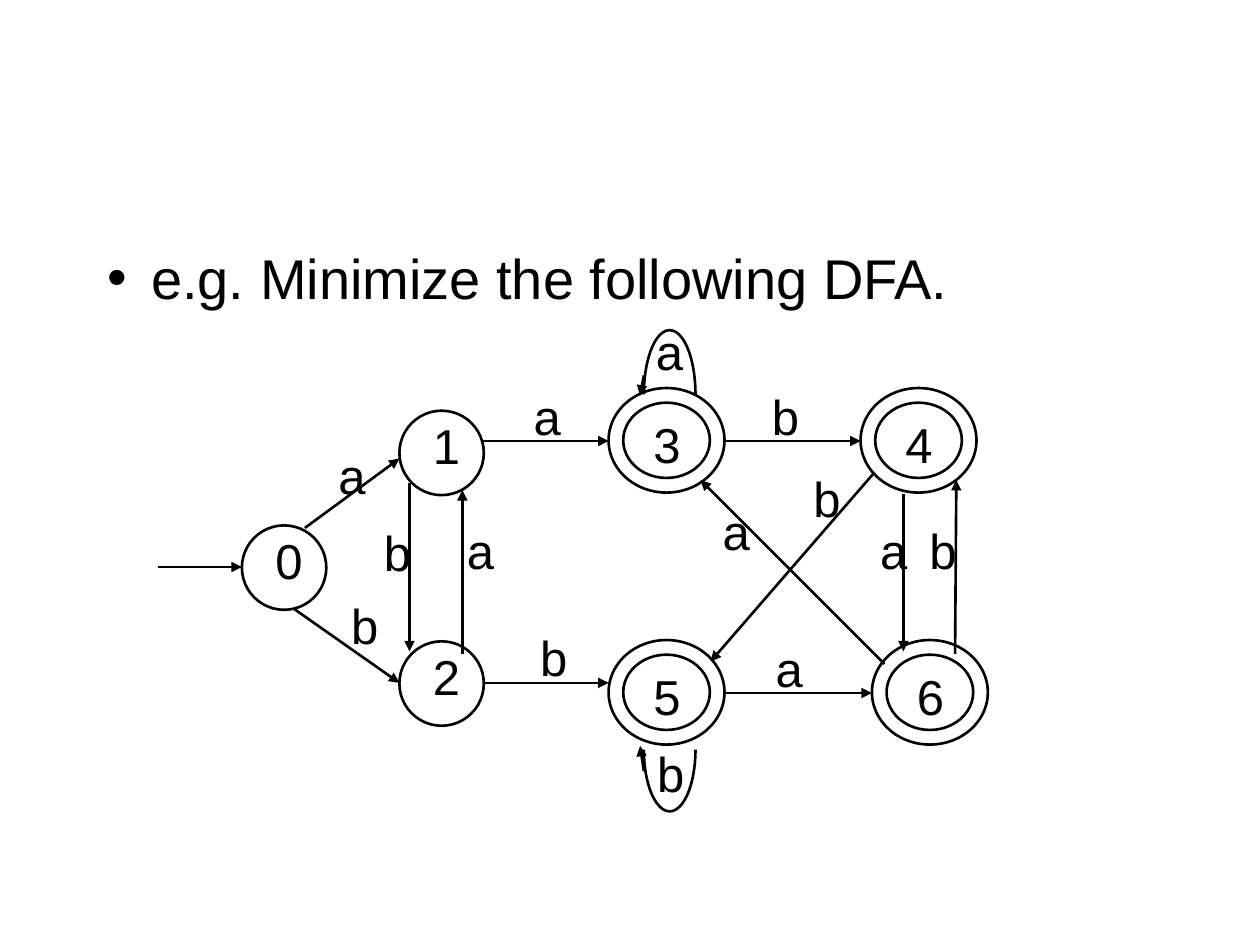
from dataclasses import dataclass

from lxml import etree
from pptx import Presentation
from pptx import util as u
from pptx.dml.color import RGBColor
from pptx.enum import shapes, text
from pptx.oxml.ns import qn


@dataclass
class Theme:
    font: str = "Arial"
    ink: RGBColor = RGBColor(0, 0, 0)
    body: u.Pt = u.Pt(32)
    label: u.Pt = u.Pt(28)
    line: u.Pt = u.Pt(1.5)


theme = Theme()
prs = Presentation()
prs.slide_width, prs.slide_height = u.Inches(10), u.Inches(7.5)
s = prs.slides.add_slide(prs.slide_layouts[1])


def add_outline(kind, x, y, w, h):
    sp = s.shapes.add_shape(kind, *map(u.Inches, (x, y, w, h)))
    sp.shadow.inherit = False
    sp.fill.background()
    sp.line.color.rgb = theme.ink
    sp.line.width = theme.line
    return sp


def add_label(label, x, y):
    tf = s.shapes.add_textbox(*map(u.Inches, (x, y, 0.52, 0.57))).text_frame
    tf.word_wrap = True
    p = tf.paragraphs[0]
    p.text = label
    p.alignment = text.PP_ALIGN.RIGHT
    p.font.name, p.font.size = theme.font, theme.label
    p.font.color.rgb = theme.ink


# Task statement
title = s.shapes.title
title.element.getparent().remove(title.element)
body = s.placeholders[1]
body.left, body.top, body.width, body.height = map(u.Inches, (0.75, 1.88, 8.5, 1.26))
tf = body.text_frame
tf.auto_size = text.MSO_AUTO_SIZE.NONE
p = tf.paragraphs[0]
p.text = "e.g. Minimize the following DFA."
p.space_before = u.Pt(0)
pPr = p._p.get_or_add_pPr()
pPr.set("marL", str(u.Inches(0.35)))
pPr.set("indent", str(-u.Inches(0.35)))
p.font.name, p.font.size = theme.font, theme.body
p.font.color.rgb = theme.ink

# Plain states
for state, x, y in [("0", 1.92, 4.17), ("1", 3.17, 3.26), ("2", 3.17, 5.09)]:
    add_outline(shapes.MSO_SHAPE.OVAL, x, y, 0.67, 0.67)
    add_label(state, x + 0.06, y - 0.01)

# Accepting states, drawn as double rings
for state, x, y in [("3", 4.83, 3.08), ("4", 6.83, 3.08),
                    ("5", 4.83, 5.08), ("6", 6.92, 5.08)]:
    ring = add_outline(shapes.MSO_SHAPE.DONUT, x, y, 0.92, 0.83)
    ring.adjustments[0] = 0.14
    add_label(state, x + 0.15, y + 0.16)

# Self-loops on 3 (upper half) and 5 (lower half); arc angles in 0.6 per degree
for y, h, start, end in [(2.62, 1.02, 180, 0), (5.46, 0.98, 0, 180)]:
    loop = add_outline(shapes.MSO_SHAPE.ARC, 5.11, y, 0.41, h)
    loop.adjustments[0], loop.adjustments[1] = start * 0.6, end * 0.6

# Transition arrows: from x, y to x, y
arrows = [
    (1.25, 4.5, 1.92, 4.5),     # start
    (2.42, 4.19, 3.17, 3.64),   # 0 to 1
    (2.33, 4.83, 3.17, 5.42),   # 0 to 2
    (3.25, 3.83, 3.25, 5.17),   # 1 to 2
    (3.67, 5.19, 3.67, 3.89),   # 2 to 1
    (3.83, 3.5, 4.83, 3.5),     # 1 to 3
    (3.83, 5.42, 4.83, 5.42),   # 2 to 5
    (5.75, 3.5, 6.83, 3.5),     # 3 to 4
    (5.75, 5.5, 6.92, 5.5),     # 5 to 6
    (6.94, 3.75, 5.64, 5.25),   # 4 to 5
    (7.02, 5.27, 5.56, 3.81),   # 6 to 3
    (7.17, 3.92, 7.17, 5.17),   # 4 to 6
    (7.58, 5.19, 7.59, 3.81),   # 6 to 4
    (5.11, 2.98, 5.08, 3.14),   # loop on 3
    (5.11, 6.12, 5.08, 5.92),   # loop on 5
]
for ends in arrows:
    c = s.shapes.add_connector(shapes.MSO_CONNECTOR.STRAIGHT, *map(u.Inches, ends))
    c.line.color.rgb = theme.ink
    c.line.width = theme.line
    etree.SubElement(c.line._get_or_add_ln(), qn("a:tailEnd"), type="triangle")
    etree.SubElement(c._element.spPr, qn("a:effectLst"))

# Transition symbols
symbols = {
    "a": [(2.48, 3.49), (3.5, 4.08), (4.03, 3.02), (5, 2.5),
          (5.95, 5.02), (6.78, 4.08), (5.53, 3.93)],
    "b": [(2.58, 4.68), (4.08, 4.93), (2.84, 4.1), (6.25, 3.67),
          (5.92, 3.02), (7.17, 4.08), (5.01, 5.85)],
}
for symbol, places in symbols.items():
    for x, y in places:
        add_label(symbol, x, y)

prs.save("out.pptx")
